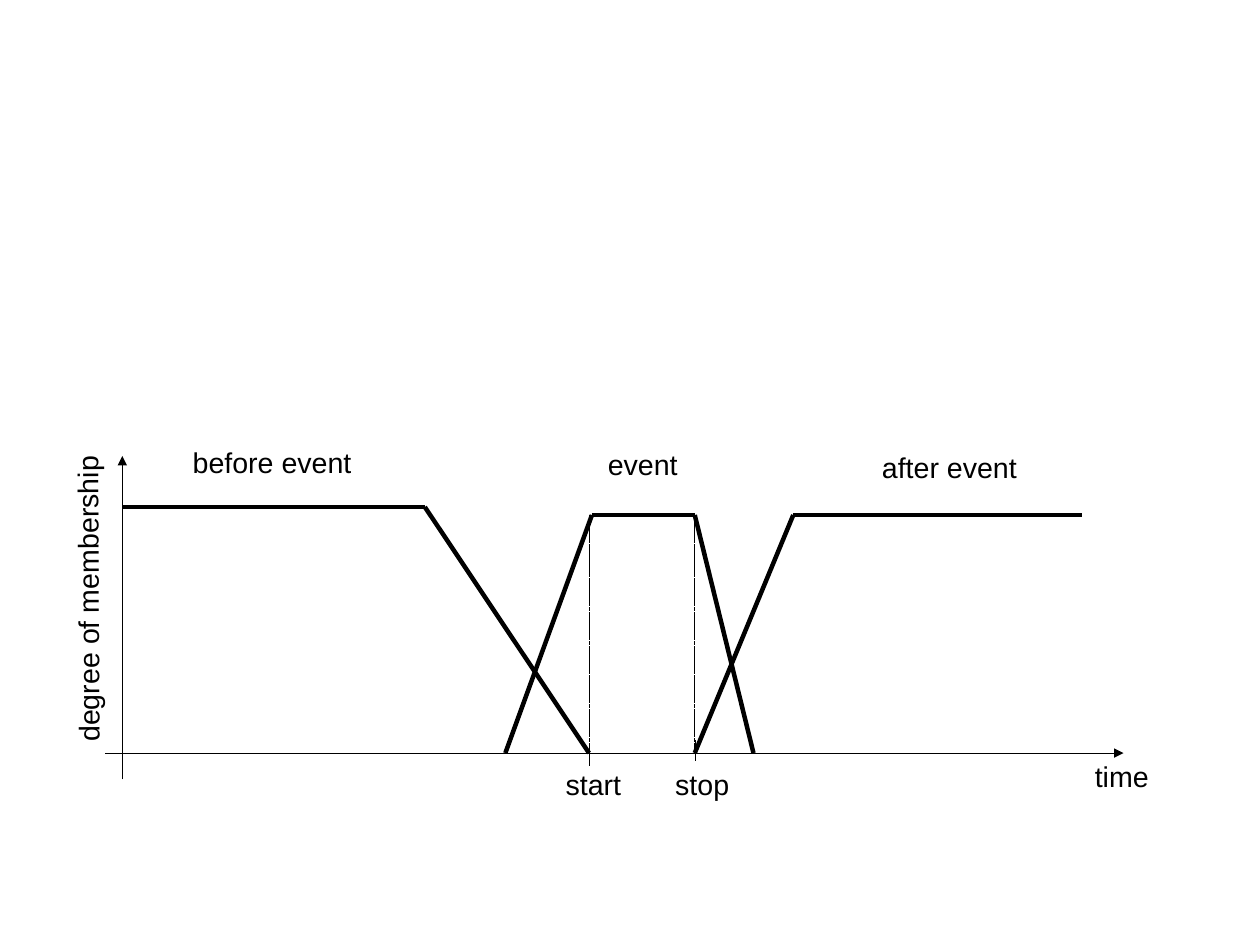
from itertools import pairwise

from lxml.etree import SubElement
from pptx import Presentation
from pptx.dml.color import RGBColor
from pptx.enum.dml import MSO_LINE_DASH_STYLE as DASH
from pptx.enum.shapes import MSO_CONNECTOR as CONN
from pptx.enum.text import MSO_AUTO_SIZE as FIT
from pptx.oxml.ns import qn
from pptx.util import Cm, Pt

COLORS = {"ink": "000000", "paper": "FFFFFF"}
FONT = {"name": "Arial", "size": Pt(18)}
HAIR, BOLD = 0, 2.83
LABEL_H = 4.59

# Positions are percentages of the slide's width and height.
ORIGIN, AXIS = 9.71, 79.69
START, STOP = 46.75, 55.14
TOP, TOP_BEFORE = 54.5, 53.65
FALL, RISE_END = 33.72, 62.96


class Diagram:
    def __init__(self, prs):
        self.w, self.h = prs.slide_width / 100, prs.slide_height / 100
        self.ink = RGBColor.from_string(COLORS["ink"])
        self.s = prs.slides.add_slide(prs.slide_layouts[6])
        fill = self.s.background.fill
        fill.solid()
        fill.fore_color.rgb = RGBColor.from_string(COLORS["paper"])

    def x(self, share):
        return round(share * self.w)

    def y(self, share):
        return round(share * self.h)

    def line(self, start, end, width=HAIR, dash=None, arrow=False):
        (x1, y1), (x2, y2) = start, end
        c = self.s.shapes.add_connector(
            CONN.STRAIGHT, self.x(x1), self.y(y1), self.x(x2), self.y(y2))
        c.line.color.rgb = self.ink
        if dash:
            c.line.dash_style = dash
        pr = c.element.spPr
        ln = pr.find(qn("a:ln"))
        # A zero width must be written out, or the theme's width applies.
        ln.set("w", str(int(Pt(width))))
        if arrow:
            SubElement(ln, qn("a:tailEnd"), type="triangle")
        SubElement(pr, qn("a:effectLst"))

    def curve(self, *points):
        """Draw a membership function as a chain of thick lines."""
        for start, end in pairwise(points):
            self.line(start, end, BOLD)

    def label(self, text, left, top, width, rotation=0):
        sp = self.s.shapes.add_textbox(
            self.x(left), self.y(top), self.x(width), self.y(LABEL_H))
        sp.rotation = rotation
        tf = sp.text_frame
        tf.word_wrap = False
        tf.auto_size = FIT.SHAPE_TO_FIT_TEXT
        r = tf.paragraphs[0].add_run()
        r.text = text
        for name, value in FONT.items():
            setattr(r.font, name, value)
        r.font.color.rgb = self.ink


def main():
    prs = Presentation()
    prs.slide_width, prs.slide_height = Cm(28), Cm(21)
    d = Diagram(prs)

    d.line((8.35, AXIS), (89.17, AXIS), arrow=True)
    d.line((ORIGIN, 82.47), (ORIGIN, 48.25), arrow=True)

    for x, bottom in ((START, 80.9), (STOP, AXIS)):
        d.line((x, TOP), (x, bottom), dash=DASH.SQUARE_DOT)
    for x, top, bottom in ((46.8, 78.84, 81.02), (55.22, 78.36, 80.53)):
        d.line((x, top), (x, bottom))

    d.curve((ORIGIN, TOP_BEFORE), (FALL, TOP_BEFORE), (START, AXIS))
    d.curve((40.11, AXIS), (46.98, TOP), (STOP, TOP), (59.8, AXIS))
    d.curve((STOP, AXIS), (RISE_END, TOP), (85.9, TOP))

    for text, left, top, width in (
        ("before event", 14.4, 46.5, 14.43),
        ("event", 47.35, 46.67, 7.35),
        ("after event", 69.1, 47, 12.52),
        ("start", 44, 80.6, 6.4),
        ("stop", 52.7, 80.53, 6.53),
        ("time", 86, AXIS, 6.08),
    ):
        d.label(text, left, top, width)
    d.label("degree of membership", -5.41, 61.06, 24.5, rotation=269.6)

    prs.save("out.pptx")


if __name__ == "__main__":
    main()
